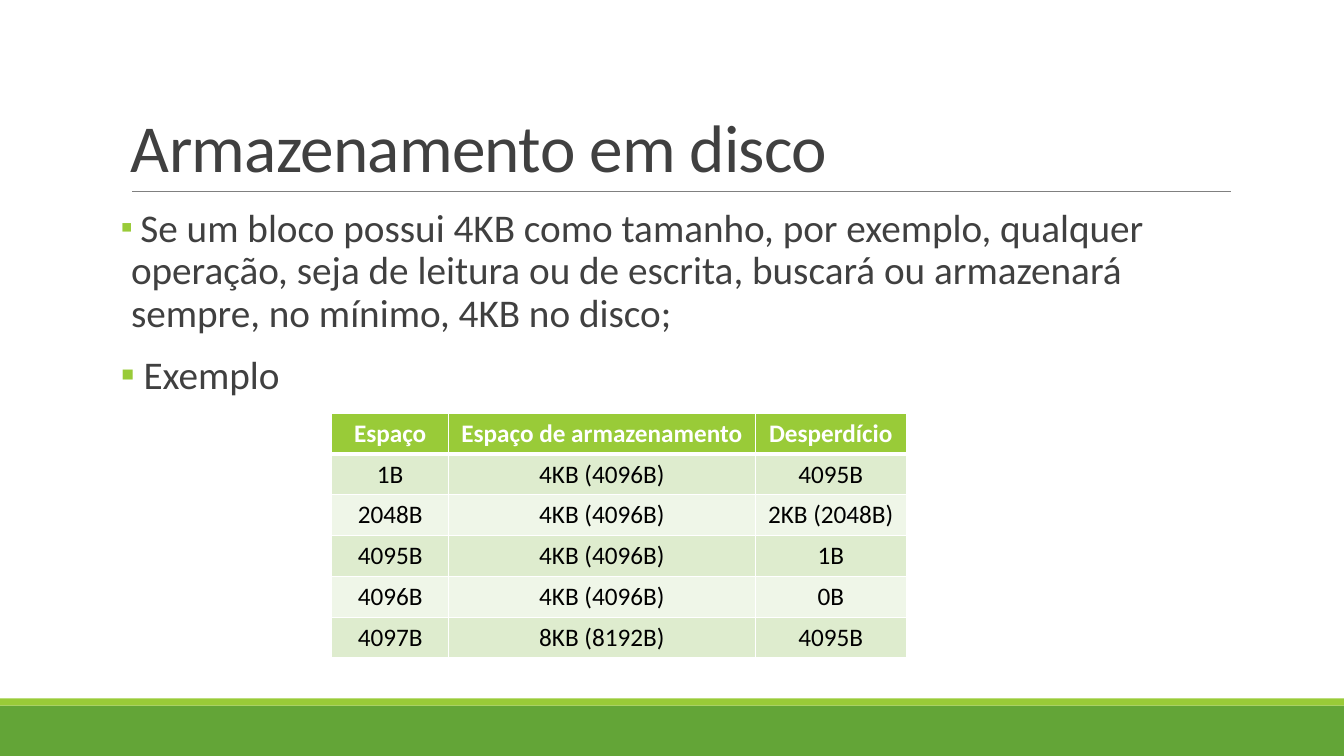
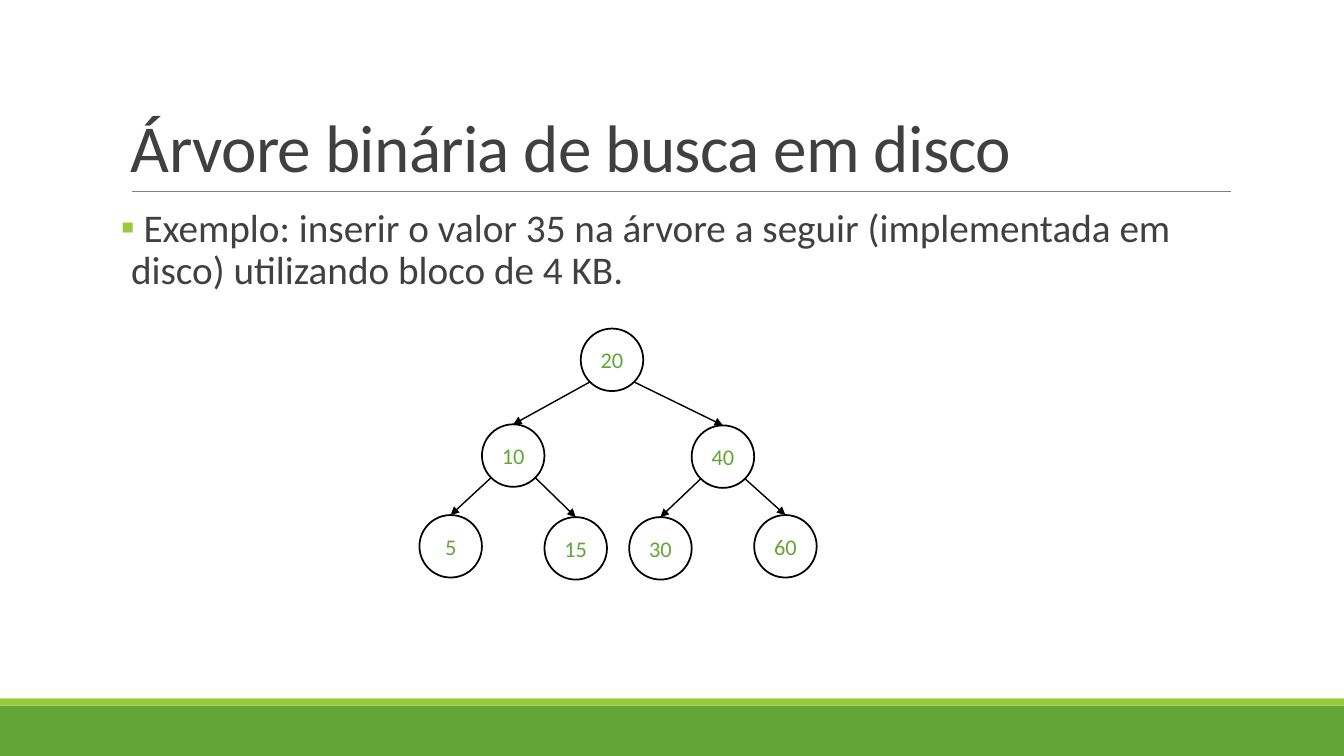
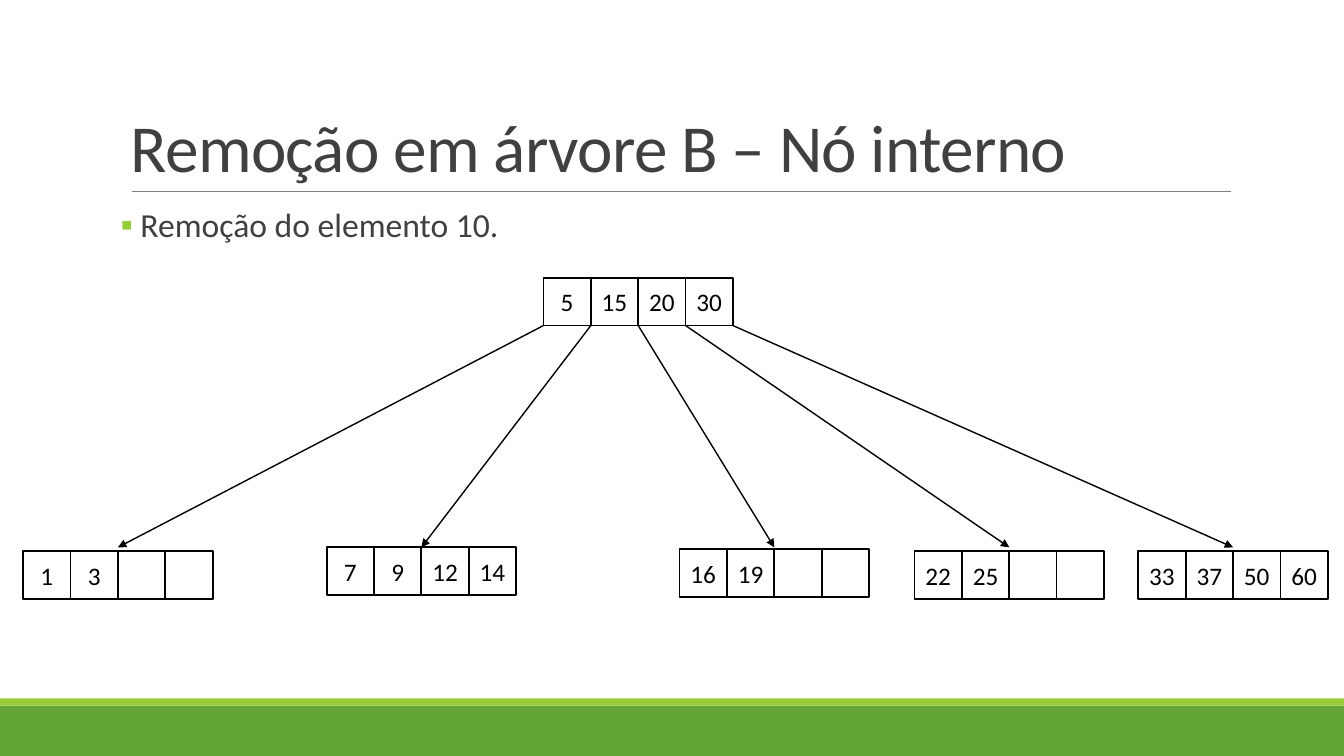
import pptx
import pptx.util
import pptx.dml.color
import pptx.enum.shapes
import pptx.enum.text
import pptx.oxml
import pptx.oxml.ns

Inches = pptx.util.Inches
Pt = pptx.util.Pt
RGBColor = pptx.dml.color.RGBColor
MSO_SHAPE = pptx.enum.shapes.MSO_SHAPE
MSO_CONNECTOR = pptx.enum.shapes.MSO_CONNECTOR
PP_ALIGN = pptx.enum.text.PP_ALIGN
MSO_ANCHOR = pptx.enum.text.MSO_ANCHOR

FONT = "Calibri"
GREEN = RGBColor(0x63, 0xA5, 0x37)
LIME = RGBColor(0x99, 0xCB, 0x38)
ROW_ODD = RGBColor(0xDE, 0xEC, 0xCE)
ROW_EVEN = RGBColor(0xEF, 0xF6, 0xE8)
TEXT = RGBColor(0x40, 0x40, 0x40)
GRAY = RGBColor(0x80, 0x80, 0x80)
BLACK = RGBColor(0, 0, 0)
WHITE = RGBColor(255, 255, 255)

SLIDE_W, SLIDE_H = 13.33, 7.5
CIRCLE = 0.62
CELL = 0.47


def add_xml(parent, tag, **attrs):
    child = pptx.oxml.parse_xml(f"<a:{tag} {pptx.oxml.ns.nsdecls('a')}/>")
    for name, value in attrs.items():
        child.set(name, str(value))
    parent.append(child)
    return child


def add_run(p, text, size, color, bold=False):
    r = p.add_run()
    r.text = text
    r.font.name = FONT
    r.font.size = Pt(size)
    r.font.color.rgb = color
    r.font.bold = bold
    return r


def add_box(shapes, kind, x, y, w, h, fill=None, line=None):
    sp = shapes.add_shape(kind, Inches(x), Inches(y), Inches(w), Inches(h))
    sp.shadow.inherit = False
    if fill is None:
        sp.fill.background()
    else:
        sp.fill.solid()
        sp.fill.fore_color.rgb = fill
    if line is None:
        sp.line.fill.background()
    else:
        sp.line.color.rgb = line
        sp.line.width = Pt(1.25)
    return sp


def add_label(sp, text, size, color):
    """Centre a text in a shape."""
    tf = sp.text_frame
    tf.margin_left = tf.margin_right = 0
    tf.vertical_anchor = MSO_ANCHOR.MIDDLE
    p = tf.paragraphs[0]
    p.alignment = PP_ALIGN.CENTER
    add_run(p, text, size, color)


def add_line(s, start, end, color=BLACK, width=1, arrow=True):
    cx = s.shapes.add_connector(MSO_CONNECTOR.STRAIGHT,
                                *(Inches(v) for v in (*start, *end)))
    cx.line.color.rgb = color
    cx.line.width = Pt(width)
    if arrow:
        add_xml(cx.line._get_or_add_ln(), "tailEnd", type="triangle")
    add_xml(cx._element.spPr, "effectLst")


def add_text_frame(s, x, y, w, h):
    tf = s.shapes.add_textbox(Inches(x), Inches(y), Inches(w), Inches(h)).text_frame
    tf.word_wrap = True
    return tf


def add_base_slide(prs, title):
    """Add a slide with the bottom bands, the title and the rule below it."""
    s = prs.slides.add_slide(prs.slide_layouts[6])
    add_box(s.shapes, MSO_SHAPE.RECTANGLE, 0, 7, SLIDE_W, 0.5, GREEN)
    add_box(s.shapes, MSO_SHAPE.RECTANGLE, 0, 6.93, SLIDE_W, 0.07, LIME)
    add_line(s, (1.31, 1.9), (12.21, 1.9), GRAY, 0.5, arrow=False)
    tf = add_text_frame(s, 1.2, 0.31, 11, 1.59)
    tf.vertical_anchor = MSO_ANCHOR.BOTTOM
    p = tf.paragraphs[0]
    p.line_spacing = 0.85
    r = add_run(p, title, 48, TEXT)
    r.font._element.set("spc", "-50")
    return s


def add_bullets(s, bullets):
    """Add the body; each bullet is a list of (text, size) runs."""
    tf = add_text_frame(s, 1.2, 2.02, 10.6, 4.4)
    tf.margin_left = tf.margin_right = 0
    for i, runs in enumerate(bullets):
        p = tf.add_paragraph() if i else tf.paragraphs[0]
        p.line_spacing = 0.9
        p.space_before = Pt(12)
        p.space_after = Pt(2)
        pPr = p._p.get_or_add_pPr()
        pPr.set("marL", str(Inches(0.1)))
        pPr.set("indent", str(Inches(-0.1)))
        add_xml(add_xml(pPr, "buClr"), "srgbClr", val=LIME)
        add_xml(pPr, "buFont", typeface=FONT)
        add_xml(pPr, "buChar", char="▪")
        for text, size in runs:
            add_run(p, text, size, TEXT)


def set_borders(cell, bottom):
    tcPr = cell._tc.get_or_add_tcPr()
    for side, width in (("lnL", 1), ("lnR", 1), ("lnT", 1), ("lnB", bottom)):
        ln = add_xml(tcPr, side, w=Pt(width))
        add_xml(add_xml(ln, "solidFill"), "srgbClr", val=WHITE)


def add_striped_table(s, x, y, col_widths, h, rows):
    table = s.shapes.add_table(len(rows), len(col_widths), Inches(x), Inches(y),
                               Inches(sum(col_widths)), Inches(h)).table
    table.first_row = table.horz_banding = False
    for col, width in zip(table.columns, col_widths):
        col.width = Inches(width)
    for i, row in enumerate(rows):
        header = i == 0
        fill = LIME if header else ROW_ODD if i % 2 else ROW_EVEN
        for j, text in enumerate(row):
            cell = table.cell(i, j)
            set_borders(cell, 3 if header else 1)
            cell.fill.solid()
            cell.fill.fore_color.rgb = fill
            p = cell.text_frame.paragraphs[0]
            p.alignment = PP_ALIGN.CENTER
            add_run(p, text, 18, WHITE if header else BLACK, header)


def add_binary_tree(s, x, y, nodes, children):
    """Draw circles at offsets from (x, y) and arrows from parent to children."""
    radius = CIRCLE / 2
    diagonal = radius * 0.71
    centers = {}
    for value, (dx, dy) in nodes.items():
        sp = add_box(s.shapes, MSO_SHAPE.OVAL, x + dx, y + dy, CIRCLE, CIRCLE, line=BLACK)
        add_label(sp, str(value), 16, GREEN)
        centers[value] = (x + dx + radius, y + dy + radius)
    for parent, pair in children.items():
        px, py = centers[parent]
        for child, side in zip(pair, (-1, 1)):
            cx, cy = centers[child]
            add_line(s, (px + side * diagonal, py + diagonal), (cx, cy - radius))


def add_key_row(s, x, y, keys):
    """Draw one B-tree node with four key cells."""
    group = s.shapes.add_group_shape()
    for i in range(4):
        sp = add_box(group.shapes, MSO_SHAPE.RECTANGLE, x + i * CELL, y, CELL, CELL, WHITE, BLACK)
        if i < len(keys):
            add_label(sp, str(keys[i]), 18, BLACK)


def add_b_tree(s, x, y, root, leaves, tip_y):
    add_key_row(s, x, y, root)
    for i, (leaf_x, leaf_y, keys) in enumerate(leaves):
        add_key_row(s, leaf_x, leaf_y, keys)
        add_line(s, (x + i * CELL, y + CELL), (leaf_x + 2 * CELL, tip_y))


def add_storage_slide(prs):
    s = add_base_slide(prs, "Armazenamento em disco")
    add_bullets(s, [
        [(" ", 24),
         ("Se um bloco possui 4KB como tamanho, por exemplo, qualquer operação, "
          "seja de leitura ou de escrita, buscará ou armazenará sempre, no mínimo, "
          "4KB no disco;", 28)],
        [(" Exemplo", 28)],
    ])
    add_striped_table(s, 3.29, 4.1, (1.16, 3.04, 1.5), 2.43, [
        ("Espaço", "Espaço de armazenamento", "Desperdício"),
        ("1B", "4KB (4096B)", "4095B"),
        ("2048B", "4KB (4096B)", "2KB (2048B)"),
        ("4095B", "4KB (4096B)", "1B"),
        ("4096B", "4KB (4096B)", "0B"),
        ("4097B", "8KB (8192B)", "4095B"),
    ])


def add_binary_tree_slide(prs):
    s = add_base_slide(prs, "Árvore binária de busca em disco")
    add_bullets(s, [[(" Exemplo: inserir o valor 35 na árvore a seguir (implementada "
                      "em disco) utilizando bloco de 4 KB.", 28)]])
    nodes = {20: (1.6, 0), 10: (0.62, 0.95), 40: (2.7, 0.96), 5: (0, 1.85),
             15: (1.24, 1.87), 30: (2.08, 1.87), 60: (3.32, 1.85)}
    add_binary_tree(s, 4.16, 3.26, nodes, {20: (10, 40), 10: (5, 15), 40: (30, 60)})


def add_b_tree_slide(prs):
    s = add_base_slide(prs, "Remoção em árvore B – Nó interno")
    add_bullets(s, [[(" Remoção do elemento 10.", 24)]])
    leaves = [
        (0.23, 5.47, (1, 3)),
        (3.24, 5.43, (7, 9, 12, 14)),
        (6.74, 5.45, (16, 19)),
        (9.07, 5.47, (22, 25)),
        (11.29, 5.47, (33, 37, 50, 60)),
    ]
    add_b_tree(s, 5.39, 2.76, (5, 15, 20, 30), leaves, 5.43)


def main():
    prs = pptx.Presentation()
    prs.slide_width = Inches(SLIDE_W)
    prs.slide_height = Inches(SLIDE_H)
    add_storage_slide(prs)
    add_binary_tree_slide(prs)
    add_b_tree_slide(prs)
    prs.save("out.pptx")


if __name__ == "__main__":
    main()
